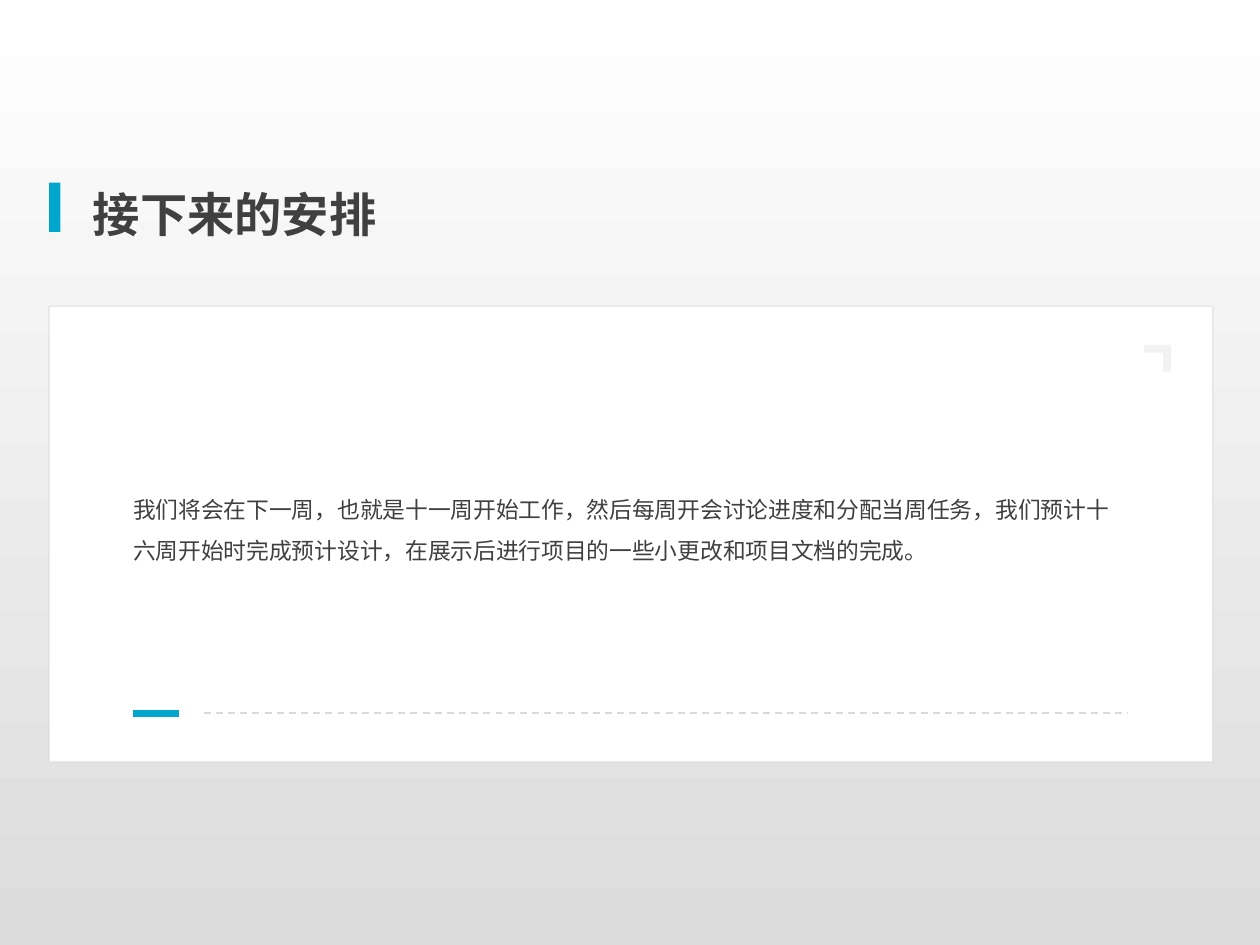
"""Build the slide on upcoming plans."""
from lxml import etree
from pptx import Presentation
from pptx import util as u
from pptx.dml.color import RGBColor
from pptx.enum import dml, shapes, text
from pptx.oxml.ns import qn

FONT = "Noto Sans CJK SC"
ACCENT, INK, RULE, PALE, WHITE = "00A6CC", "404040", "D9D9D9", "F2F2F2", "FFFFFF"


def color(value):
    return RGBColor.from_string(value)


def add_bar(page, place, fill):
    bar = page.shapes.add_shape(shapes.MSO_SHAPE.RECTANGLE, *map(u.Pt, place))
    bar.shadow.inherit = False
    bar.fill.solid()
    bar.fill.fore_color.rgb = color(fill)
    bar.line.fill.background()
    return bar


deck = Presentation()
deck.slide_width, deck.slide_height = u.Pt(720), u.Pt(540)
page = deck.slides.add_slide(deck.slide_layouts[6])

backdrop = page.background.fill
backdrop.gradient()
backdrop.gradient_angle = 270
for stop, value in zip(backdrop.gradient_stops, (WHITE, "DCDCDC")):
    stop.color.rgb = color(value)
    stop.position = 0 if value == WHITE else 1

add_bar(page, (28, 104.4, 6.5, 28.1), ACCENT)
card = add_bar(page, (28, 175, 665, 260.4), WHITE)
card.line.color.rgb = color(RULE)
card.line.width = u.Pt(1)
tint = card.line._ln.find(".//" + qn("a:srgbClr"))
etree.SubElement(tint, qn("a:alpha"), val="50000")

title = "接下来的安排"
plan = (
    "我们将会在下一周，也就是十一周开始工作，然后每周开会讨论进度和分配当周任务，"
    "我们预计十六周开始时完成预计设计，在展示后进行项目的一些小更改和项目文档的完成。"
)
for words, place, size, bold, spacing in (
    (title, (46, 95.8, 653, 46), 27, True, 1.2),
    (plan, (69, 272, 581, 54), 13, False, 1.5),
):
    box = page.shapes.add_textbox(*map(u.Pt, place))
    frame = box.text_frame
    frame.word_wrap = True
    frame.auto_size = text.MSO_AUTO_SIZE.SHAPE_TO_FIT_TEXT
    frame.vertical_anchor = text.MSO_ANCHOR.MIDDLE
    para = frame.paragraphs[0]
    para.text = words
    para.line_spacing = spacing
    para.font.name = FONT
    para.font.size = u.Pt(size)
    para.font.bold = bold
    para.font.color.rgb = color(INK)
    latin = para._p.pPr.find(".//" + qn("a:latin"))
    latin.addnext(latin.makeelement(qn("a:ea"), {"typeface": FONT}))

for left, right, value, width, dash in (
    (76, 102.4, ACCENT, 4, dml.MSO_LINE.SOLID),
    (116.5, 644.5, RULE, 1, dml.MSO_LINE.DASH),
):
    rule = page.shapes.add_connector(
        shapes.MSO_CONNECTOR.STRAIGHT, *map(u.Pt, (left, 407.6, right, 407.6))
    )
    rule.line.color.rgb = color(value)
    rule.line.width = u.Pt(width)
    rule.line.dash_style = dash
    etree.SubElement(rule._element.spPr, qn("a:effectLst"))

for left, top, turn in ((653.8, 197, 0), (659.3, 202.4, 270)):
    corner = add_bar(page, (left, top, 15.3, 4.5), PALE)
    corner.rotation = turn

deck.save("out.pptx")
